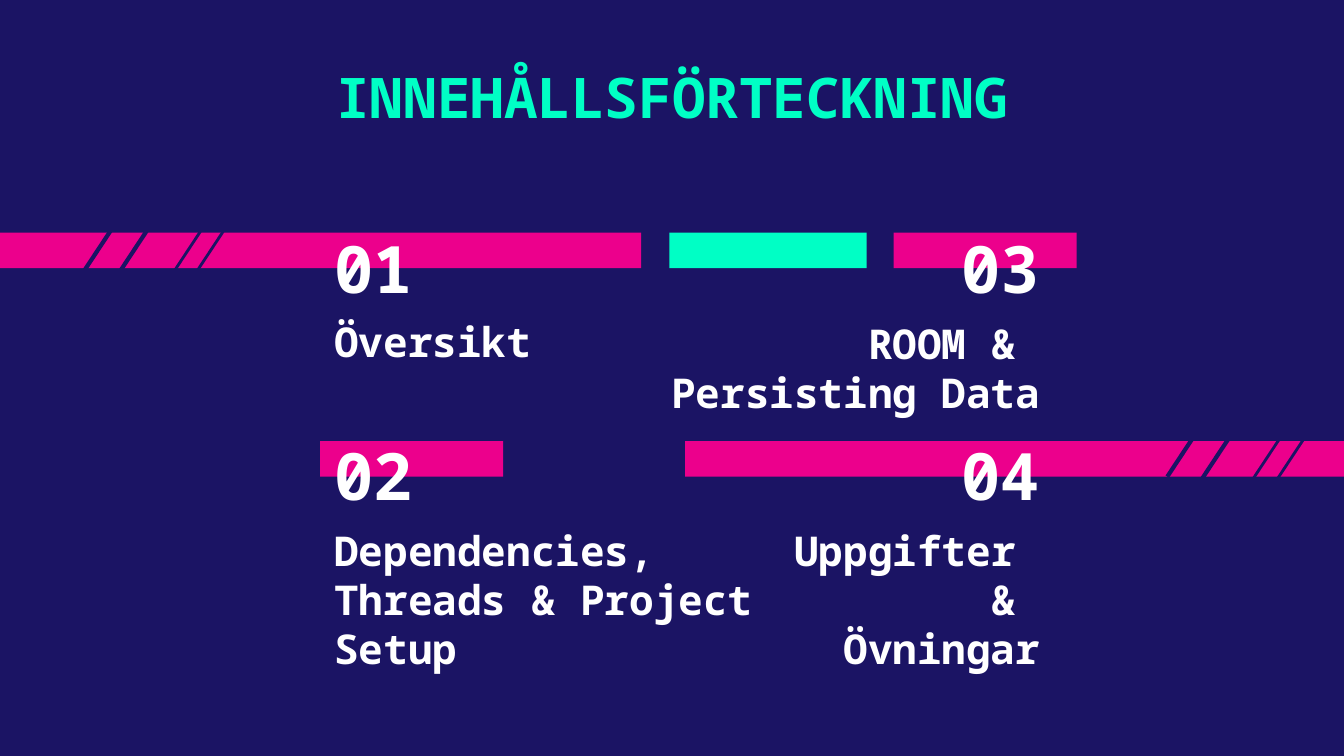
from pptx import Presentation
from pptx.dml.color import RGBColor
from pptx.enum.shapes import MSO_CONNECTOR, MSO_SHAPE
from pptx.enum.text import MSO_ANCHOR, MSO_AUTO_SIZE, PP_ALIGN
from pptx.oxml.ns import qn
from pptx.util import Cm, Pt

COLORS = {"navy": "1B1464", "pink": "EC008C", "mint": "00FFC5", "white": "FFFFFF"}
FONT = "Noto Sans Mono"
COMPARISON_LAYOUT = 4  # a title and four body placeholders

ROW_TOPS = (4.4, 8.34)
BAR_HEIGHT = 0.67
LEFT_EDGE, RIGHT_EDGE = 6.07, 19.91
NUMBER_WIDTH = 6.02

# row, left, width, color
BARS = (
    (0, 0, 12.12, "pink"),
    (0, 16.89, 3.46, "pink"),
    (1, 6.05, 3.46, "pink"),
    (1, 12.95, 12.45, "pink"),
    (0, 12.65, 3.73, "mint"),
)

# x and y of the upper end, line width
SLASHES = (
    (2.62, 3.56, 2.25), (3.02, 3.99, 2.25), (3.89, 4.22, 1.5), (4.32, 4.22, 1.5),
    (23.5, 6.83, 2.25), (23.9, 7.26, 2.25), (24.31, 8.1, 1.5), (24.77, 8.1, 1.5),
)

# number, text, alignment, top of the number, top and width of the text
TOPICS = (
    ("01", "Översikt", PP_ALIGN.LEFT, 5.13, 5.99, 6.02),
    ("03", "ROOM & \nPersisting Data", PP_ALIGN.RIGHT, 5.13, 6.02, 8),
    ("02", "Dependencies, Threads & Project Setup", PP_ALIGN.LEFT, 9.04, 9.93, 8.59),
    ("04", "Uppgifter \v& \vÖvningar", PP_ALIGN.RIGHT, 9.04, 9.93, 6.02),
)


class ContentsSlide:
    def __init__(self, presentation):
        layout = presentation.slide_layouts[COMPARISON_LAYOUT]
        self.slide = presentation.slides.add_slide(layout)
        fill = self.slide.background.fill
        fill.solid()
        fill.fore_color.rgb = self.color("navy")

    def color(self, name):
        return RGBColor.from_string(COLORS[name])

    def bar(self, left, top, width, color):
        shape = self.slide.shapes.add_shape(
            MSO_SHAPE.RECTANGLE, Cm(left), Cm(top), Cm(width), Cm(BAR_HEIGHT))
        shape.shadow.inherit = False
        shape.fill.solid()
        shape.fill.fore_color.rgb = self.color(color)
        shape.line.fill.background()

    def slash(self, x, y, width):
        connector = self.slide.shapes.add_connector(
            MSO_CONNECTOR.STRAIGHT, Cm(x), Cm(y), Cm(x - 1.44), Cm(y + 2.18))
        connector.line.color.rgb = self.color("navy")
        connector.line.width = Pt(width)
        properties = connector._element.spPr
        properties.append(properties.makeelement(qn("a:effectLst"), {}))

    def set_text(self, shape, text, size, align, color="white", anchor=MSO_ANCHOR.TOP, inset=0):
        frame = shape.text_frame
        frame.word_wrap = True
        frame.auto_size = MSO_AUTO_SIZE.NONE
        frame.vertical_anchor = anchor
        frame.margin_left = frame.margin_right = Cm(0.25)
        frame.margin_top = frame.margin_bottom = Cm(inset)
        frame.text = text
        for paragraph in frame.paragraphs:
            properties = paragraph._p.get_or_add_pPr()
            properties.set("marL", "0")
            properties.set("indent", "0")
            properties.append(properties.makeelement(qn("a:buNone"), {}))
            paragraph.alignment = align
            paragraph.space_before = Pt(0)
            paragraph.font.name = FONT
            paragraph.font.size = Pt(size)
            paragraph.font.bold = True
            paragraph.font.color.rgb = self.color(color)

    def place(self, shape, left, top, width, height):
        shape.left, shape.top = Cm(left), Cm(top)
        shape.width, shape.height = Cm(width), Cm(height)

    def title(self, text):
        shape = self.slide.shapes.title
        self.place(shape, 3.56, 0.94, 18.29, 1.85)
        self.set_text(shape, text, 30, PP_ALIGN.CENTER, "mint", inset=0.25)

    def number(self, text, align, top):
        left = LEFT_EDGE if align == PP_ALIGN.LEFT else RIGHT_EDGE - NUMBER_WIDTH
        shape = self.slide.shapes.add_textbox(
            Cm(left), Cm(top), Cm(NUMBER_WIDTH), Cm(0.67))
        self.set_text(shape, text, 35, align, anchor=MSO_ANCHOR.BOTTOM)

    def topic(self, index, text, align, top, width):
        left = LEFT_EDGE if align == PP_ALIGN.LEFT else RIGHT_EDGE - width
        shape = self.slide.placeholders[index]
        self.place(shape, left, top, width, 1.19)
        self.set_text(shape, text, 22, align)


def main():
    presentation = Presentation()
    presentation.slide_width = Cm(25.4)
    presentation.slide_height = Cm(14.29)
    contents = ContentsSlide(presentation)
    for row, left, width, color in BARS:
        contents.bar(left, ROW_TOPS[row], width, color)
    contents.title("INNEHÅLLSFÖRTECKNING")
    for index, (number, text, align, number_top, top, width) in enumerate(TOPICS, start=1):
        contents.number(number, align, number_top)
        contents.topic(index, text, align, top, width)
    for x, y, width in SLASHES:
        contents.slash(x, y, width)
    presentation.save("out.pptx")


if __name__ == "__main__":
    main()
